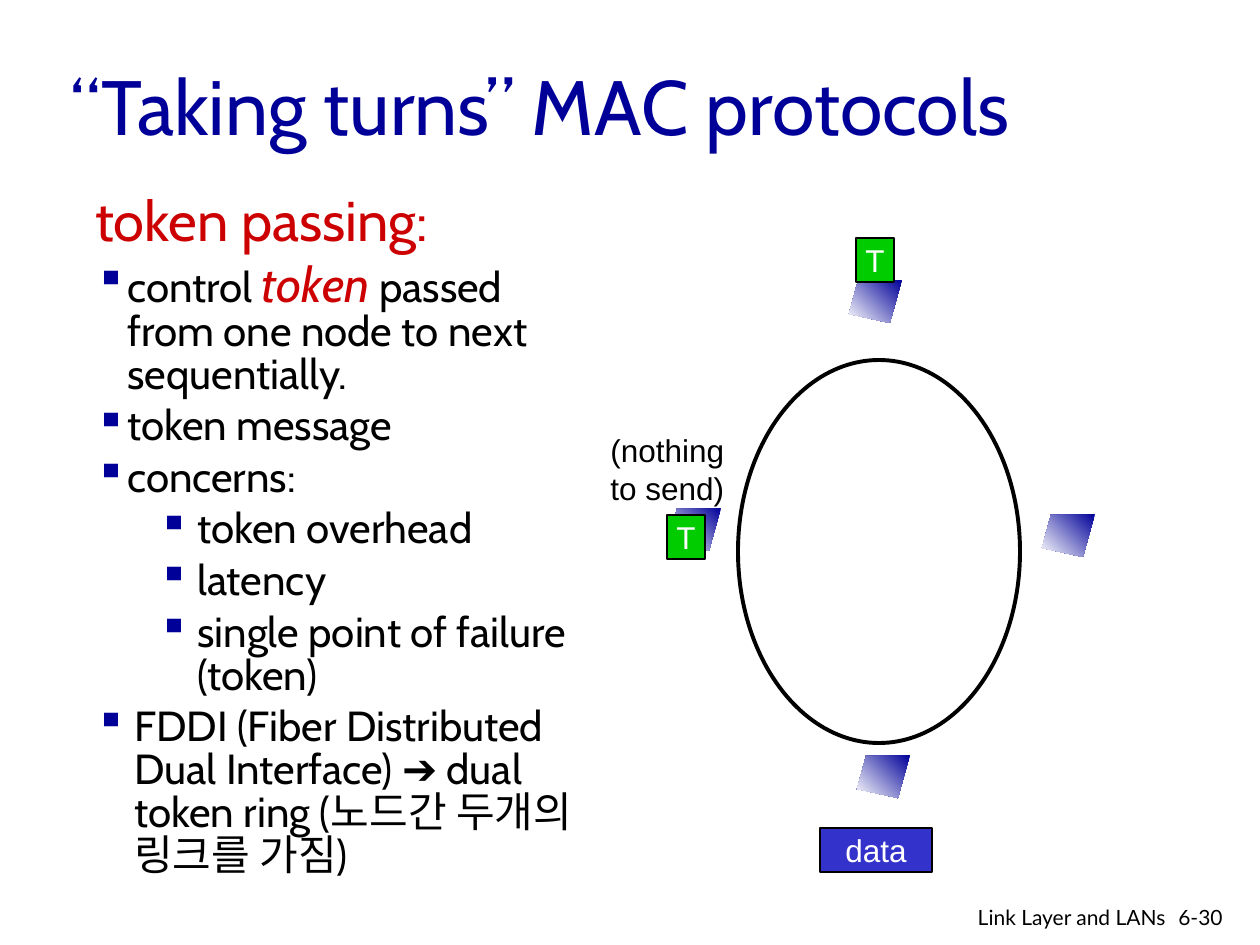
from pptx import Presentation
from pptx.dml.color import RGBColor
from pptx.enum.shapes import MSO_SHAPE as Shape
from pptx.enum.text import MSO_ANCHOR as Anchor, MSO_AUTO_SIZE as Fit, PP_ALIGN as Align
from pptx.oxml.ns import qn
from pptx.util import Pt
from lxml.etree import SubElement

PX = 914400 // 126
NAVY = RGBColor(0, 0, 0x99)
RED = RGBColor(0xCC, 0, 0)
GREEN = RGBColor(0, 0xCC, 0)
BLUE = RGBColor(0x33, 0x33, 0xCC)
BLACK = RGBColor(0, 0, 0)
WHITE = RGBColor(255, 255, 255)

TITLE = "“Taking turns” MAC protocols"
# level, hanging indent and left margin in px, runs of (text, size, colour, italic)
BODY = [
    (0, 0, 0, [("token passing:", 32, RED, False)]),
    (0, 32, 32, [("control ", 24, BLACK, False), ("token", 28, RED, True),
                 (" passed from one node to next sequentially.", 24, BLACK, False)]),
    (0, 32, 32, [("token message", 24, BLACK, False)]),
    (0, 32, 32, [("concerns:", 24, BLACK, False)]),
    (1, 39, 102, [("token overhead", 24, BLACK, False)]),
    (1, 39, 102, [("latency", 24, BLACK, False)]),
    (1, 39, 102, [("single point of failure (token)", 24, BLACK, False)]),
    (0, 39, 39, [("FDDI (Fiber Distributed Dual Interface) ➔ dual token ring "
                  "(노드간 두개의 링크를 가짐)", 24, BLACK, False)]),
]
NODES = [(1042, 514), (668, 508), (849, 280), (857, 755)]
KITE = [(53, 0), (9, 1), (0, 34), (41, 43)]
RING = (738, 360, 282, 383)
FRAMES = [
    ("T", (856, 238, 38, 44), GREEN),
    ("data", (820, 828, 112, 44), BLUE),
    ("T", (667, 515, 38, 44), GREEN),
]
# lines, place, font, size, alignment, wrap
NOTES = [
    (["(nothing", "to send)"], (598, 425, 139, 88), "Arial", 18, Align.LEFT, False),
    (["6-30"], (1166, 898, 76, 38), "Lato", 12, Align.LEFT, True),
    (["Link Layer and LANs"], (878, 898, 300, 33), "Lato", 12, Align.RIGHT, True),
]


def emu(box):
    return [v * PX for v in box]


def style(font, name, size, color):
    font.name, font.size = name, Pt(size)
    font.color.rgb = color


def bullet(para, left, hang):
    props = para._p.get_or_add_pPr()
    props.set("marL", str(left * PX))
    props.set("indent", str(-hang * PX))
    tint = SubElement(props, qn("a:buClr"))
    SubElement(tint, qn("a:srgbClr")).set("val", str(NAVY))
    SubElement(props, qn("a:buChar")).set("char", "▪")


prs = Presentation()
prs.slide_width, prs.slide_height = emu((1260, 945))
slide = prs.slides.add_slide(prs.slide_layouts[5])
shapes = slide.shapes

# Title
title = shapes.title
title.left, title.top, title.width, title.height = emu((58, 26, 1071, 158))
frame = title.text_frame
frame.text = TITLE
frame.auto_size = Fit.NONE
frame.vertical_anchor = Anchor.MIDDLE
frame.paragraphs[0].alignment = Align.LEFT
style(frame.paragraphs[0].font, "Cabin", 44, NAVY)

# Nodes around the ring
for x, y in NODES:
    points = [((x + dx) * PX, (y + dy) * PX) for dx, dy in KITE]
    pen = shapes.build_freeform(*points[0])
    pen.add_line_segments(points[1:], close=True)
    node = pen.convert_to_shape()
    node.shadow.inherit = False
    node.line.fill.background()
    node.fill.gradient()
    node.fill.gradient_angle = 225
    for stop, color, pos in zip(node.fill.gradient_stops, (NAVY, WHITE), (0, 1)):
        stop.color.rgb, stop.position = color, pos

# Bulleted text
frame = shapes.add_textbox(*emu((83, 190, 518, 640))).text_frame
frame.word_wrap = True
for i, (level, hang, left, runs) in enumerate(BODY):
    para = frame.add_paragraph() if i else frame.paragraphs[0]
    para.level = level
    if hang:
        bullet(para, left, hang)
    para.line_spacing = 0.85
    if i:
        para.space_before = Pt(5)
    for text, size, color, slant in runs:
        run = para.add_run()
        run.text = text
        style(run.font, "Cabin", size, color)
        run.font.italic = slant

# Ring
ring = shapes.add_shape(Shape.OVAL, *emu(RING))
ring.shadow.inherit = False
ring.fill.background()
ring.line.color.rgb, ring.line.width = BLACK, Pt(2.25)

# Token and data frames
for text, box, color in FRAMES:
    rect = shapes.add_shape(Shape.RECTANGLE, *emu(box))
    rect.shadow.inherit = False
    rect.fill.solid()
    rect.fill.fore_color.rgb = color
    rect.line.color.rgb, rect.line.width = BLACK, Pt(0.75)
    frame = rect.text_frame
    frame.text = text
    frame.word_wrap = False
    frame.vertical_anchor = Anchor.MIDDLE
    frame.paragraphs[0].alignment = Align.CENTER
    style(frame.paragraphs[0].font, "Arial", 18, WHITE)

# Ring note and footer
for lines, box, font, size, align, wrap in NOTES:
    frame = shapes.add_textbox(*emu(box)).text_frame
    frame.text = "\n".join(lines)
    frame.word_wrap = wrap
    for para in frame.paragraphs:
        para.alignment = align
        style(para.font, font, size, BLACK)

prs.save("out.pptx")
